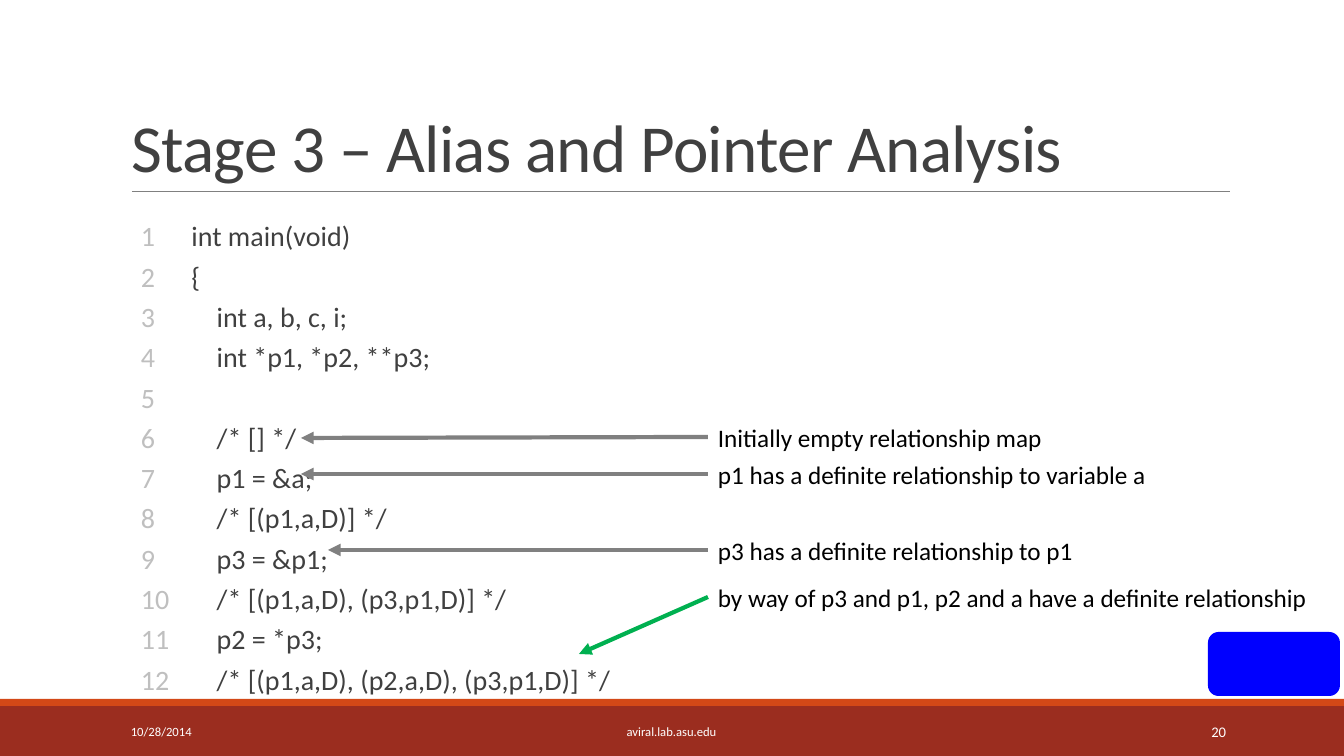
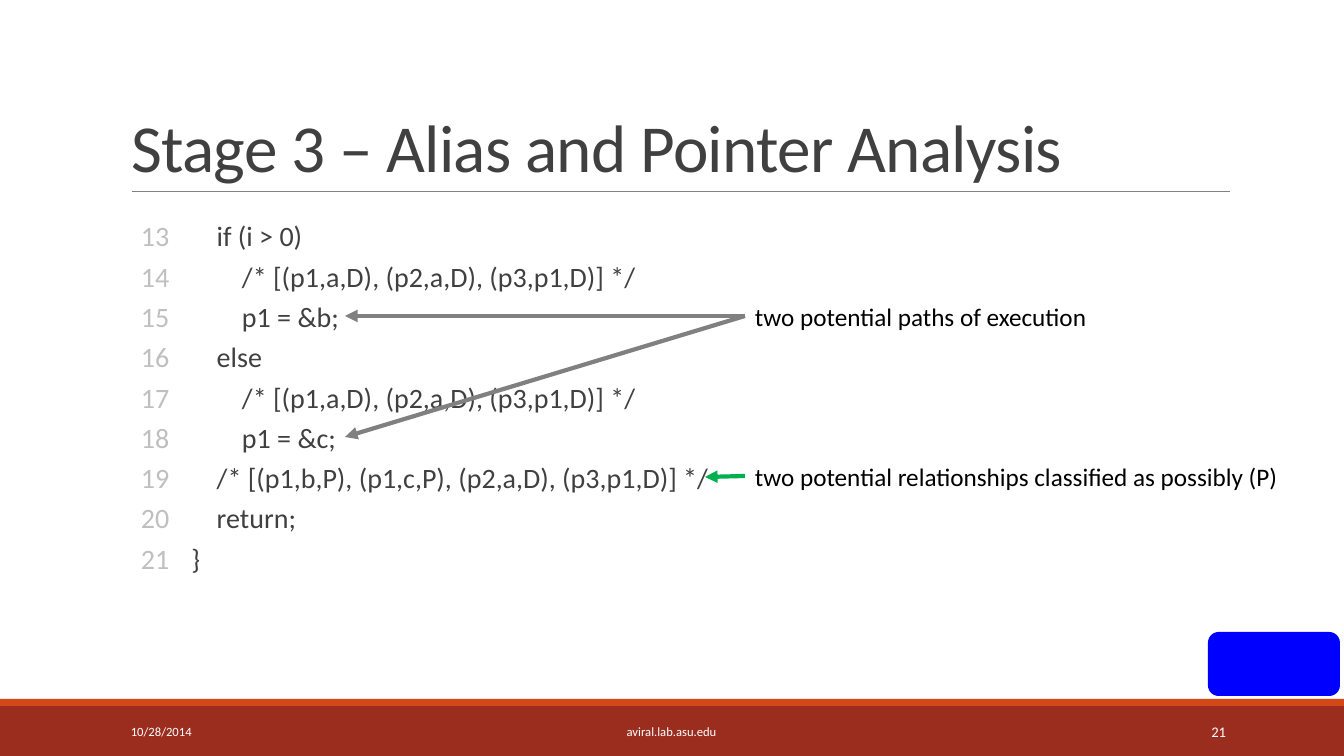
import pptx
import pptx.dml.color
import pptx.enum.shapes
import pptx.enum.text
import pptx.oxml
import pptx.oxml.ns
import pptx.util

W, H = 1344, 756
SCALE = 12192000 / W
FONT = "Calibri"
COLORS = {
    "band": "9B2D1F", "accent": "D34817", "rule": "808080", "title": "404040",
    "code": "404040", "number": "BFBFBF", "label": "000000", "footer": "FFFFFF",
    "gray": "808080", "green": "00B050", "mark": "0000FF",
}
TITLE = "Stage 3 – Alias and Pointer Analysis"
ALIGN = pptx.enum.text.PP_ALIGN
ANCHOR = pptx.enum.text.MSO_ANCHOR
AUTO_SIZE = pptx.enum.text.MSO_AUTO_SIZE
SHAPE = pptx.enum.shapes.MSO_SHAPE

CODE_START = [
    "int main(void)",
    "{",
    "    int a, b, c, i;",
    "    int *p1, *p2, **p3;",
    "",
    "    /* [] */",
    "    p1 = &a;",
    "    /* [(p1,a,D)] */",
    "    p3 = &p1;",
    "    /* [(p1,a,D), (p3,p1,D)] */",
    "    p2 = *p3;",
    "    /* [(p1,a,D), (p2,a,D), (p3,p1,D)] */",
]
CODE_END = [
    "    if (i > 0)",
    "        /* [(p1,a,D), (p2,a,D), (p3,p1,D)] */",
    "        p1 = &b;",
    "    else",
    "        /* [(p1,a,D), (p2,a,D), (p3,p1,D)] */",
    "        p1 = &c;",
    "    /* [(p1,b,P), (p1,c,P), (p2,a,D), (p3,p1,D)] */",
    "    return;",
    "}",
]
# Each label: top, width, text, arrow colour, arrow targets
LABELS_START = [
    (417, 348, "Initially empty relationship map", "gray", [(301, 438)]),
    (454, 454, "p1 has a definite relationship to variable a", "gray", [(301, 474)]),
    (530, 380, "p3 has a definite relationship to p1", "gray", [(328, 550)]),
    (577, 617, "by way of p3 and p1, p2 and a have a definite relationship",
     "green", [(579, 654)]),
]
LABELS_END = [
    (296, 356, "two potential paths of execution", "gray", [(345, 316), (345, 437)]),
    (456, 549, "two potential relationships classified as possibly (P)",
     "green", [(705, 477)]),
]


def px(n):
    return pptx.util.Emu(round(n * SCALE))


def rgb(name):
    return pptx.dml.color.RGBColor.from_string(COLORS[name])


def place(sp, box):
    sp.left, sp.top, sp.width, sp.height = map(px, box)


def write(p, text, size, color, spacing=None):
    r = p.add_run()
    r.text = text
    r.font.name = FONT
    r.font.size = pptx.util.Pt(size)
    r.font.color.rgb = rgb(color)
    if spacing is not None:
        r._r.get_or_add_rPr().set("spc", str(spacing))
    return r


def add_block(slide, box, color, kind=SHAPE.RECTANGLE):
    sp = slide.shapes.add_shape(kind, *map(px, box))
    sp.shadow.inherit = False
    sp.fill.solid()
    sp.fill.fore_color.rgb = rgb(color)
    sp.line.fill.background()


def add_text(slide, box, text, size, color, align=ALIGN.LEFT, wrap=True):
    sp = slide.shapes.add_textbox(*map(px, box))
    tf = sp.text_frame
    tf.word_wrap = wrap
    tf.auto_size = AUTO_SIZE.NONE if wrap else AUTO_SIZE.SHAPE_TO_FIT_TEXT
    tf.vertical_anchor = ANCHOR.MIDDLE if wrap else ANCHOR.TOP
    p = tf.paragraphs[0]
    p.alignment = align
    write(p, text, size, color)
    return sp


def add_line(slide, start, end, color, width, arrow=False):
    line = slide.shapes.add_connector(
        pptx.enum.shapes.MSO_CONNECTOR.STRAIGHT, *map(px, start + end))
    line.line.color.rgb = rgb(color)
    line.line.width = pptx.util.Pt(width)
    if arrow:
        ln = line.line._get_or_add_ln()
        tail = pptx.oxml.ns.qn("a:tailEnd")
        ln.append(ln.makeelement(tail, {"type": "triangle"}))
    props = line._element.spPr
    props.append(props.makeelement(pptx.oxml.ns.qn("a:effectLst"), {}))
    return line


def add_frame(slide, number):
    """Place the bands, title rule, corner mark and footer."""
    add_block(slide, (0, 706, W, H - 706), "band")
    add_block(slide, (0, 699, W, 7), "accent")
    add_line(slide, (132, 191), (1230, 191), "rule", 0.5)
    add_block(slide, (1208, 632, 132, 64), "mark", SHAPE.ROUNDED_RECTANGLE)
    footer = [
        (121, 272, "10/28/2014", 9, ALIGN.LEFT),
        (406, 531, "aviral.lab.asu.edu", 9, ALIGN.CENTER),
        (1092, 144, str(number), 10.5, ALIGN.RIGHT),
    ]
    for left, width, text, size, align in footer:
        add_text(slide, (left, 712, width, 40), text, size, "footer", align)


def set_title(slide, box):
    sp = slide.shapes.title
    place(sp, box)
    tf = sp.text_frame
    tf.word_wrap = True
    tf.auto_size = AUTO_SIZE.NONE
    tf.vertical_anchor = ANCHOR.BOTTOM
    p = tf.paragraphs[0]
    p.alignment = ALIGN.LEFT
    p.line_spacing = 0.85
    write(p, TITLE, 48, "title", spacing=-50)


def format_code_line(p, gutter):
    """Remove the bullet and put a tab stop after the line number."""
    ppr = p._p.get_or_add_pPr()
    ppr.set("marL", "0")
    ppr.set("indent", "0")
    ppr.append(ppr.makeelement(pptx.oxml.ns.qn("a:buNone"), {}))
    tabs = ppr.makeelement(pptx.oxml.ns.qn("a:tabLst"), {})
    tabs.append(tabs.makeelement(
        pptx.oxml.ns.qn("a:tab"), {"pos": str(px(gutter)), "algn": "l"}))
    ppr.append(tabs)
    p.line_spacing = 1.2
    p.space_before = p.space_after = pptx.util.Pt(0)


def set_code(slide, box, lines, first, gutter=40):
    sp = slide.placeholders[1]
    place(sp, box)
    tf = sp.text_frame
    tf.word_wrap = True
    tf.auto_size = AUTO_SIZE.NONE
    tf.vertical_anchor = ANCHOR.TOP
    tf.margin_left = tf.margin_right = 0
    tf.margin_top = tf.margin_bottom = px(5)
    for i, line in enumerate(lines):
        p = tf.add_paragraph() if i else tf.paragraphs[0]
        format_code_line(p, gutter)
        write(p, str(first + i), 20, "number")
        if line:
            write(p, "\t" + line, 20, "code")


def add_labels(slide, left, labels, height=40):
    for top, width, text, color, targets in labels:
        label = add_text(slide, (left, top, width, height), text, 18, "label",
                         wrap=False)
        for target in targets:
            arrow = add_line(slide, (left, top + height // 2), target, color, 3,
                             arrow=True)
            arrow.begin_connect(label, 1)


def add_code_slide(prs, number, lines, first, code_width, label_left, labels):
    slide = prs.slides.add_slide(prs.slide_layouts[1])
    add_frame(slide, number)
    set_title(slide, (121, 31, 1109, 160))
    set_code(slide, (141, 207, code_width, 494), lines, first)
    add_labels(slide, label_left, labels)


def main():
    prs = pptx.Presentation()
    prs.slide_width, prs.slide_height = px(W), px(H)
    add_code_slide(prs, 20, CODE_START, 1, 500, 708, LABELS_START)
    add_code_slide(prs, 21, CODE_END, len(CODE_START) + 1, 595, 745, LABELS_END)
    prs.save("out.pptx")


if __name__ == "__main__":
    main()
